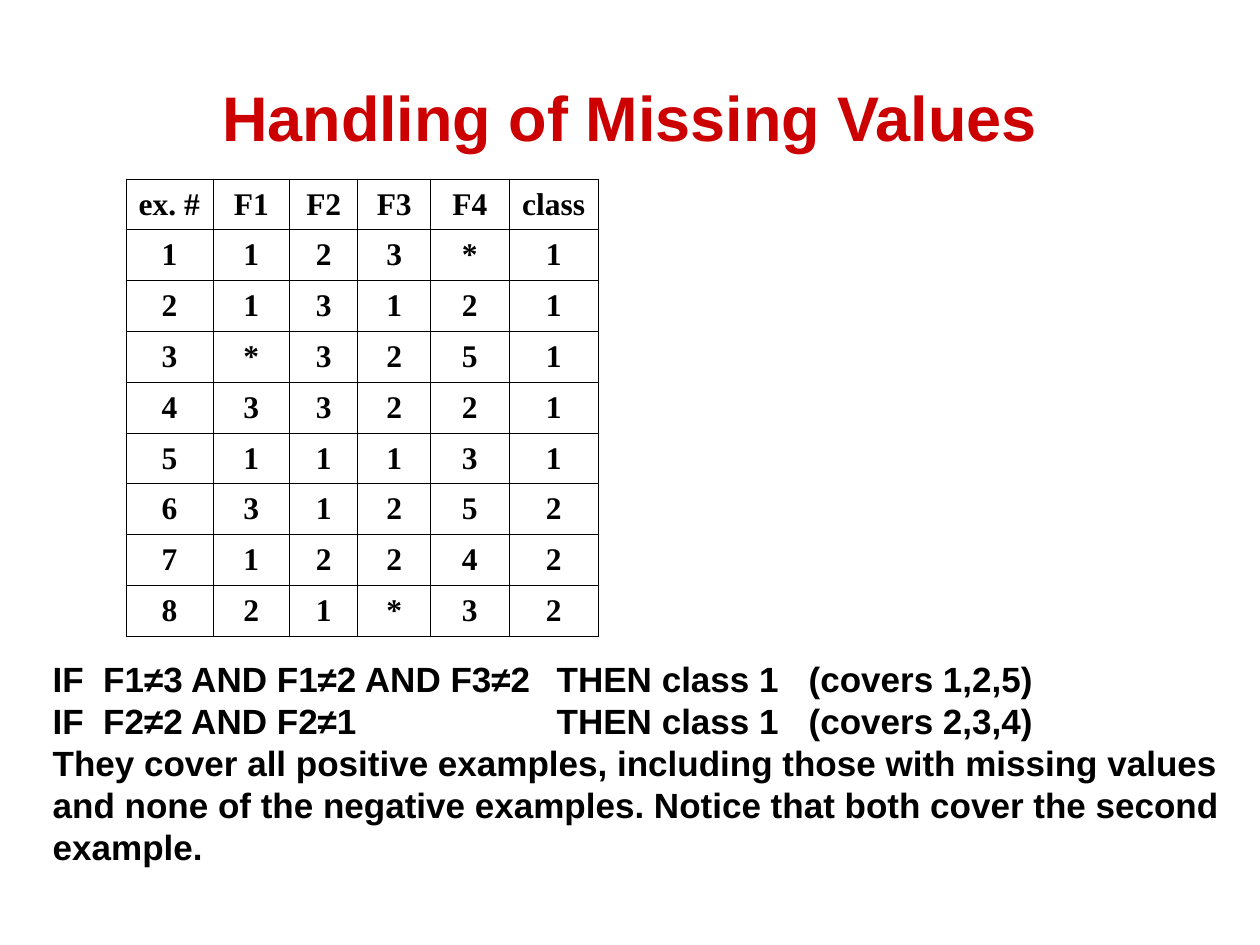
from lxml import etree
from pptx import Presentation
from pptx.dml.color import RGBColor as RGB
from pptx.enum.text import MSO_ANCHOR as Anchor, PP_ALIGN as Align
from pptx.oxml.ns import qn
from pptx.util import Inches, Pt

# Content
TITLE = "Handling of Missing Values"
HEAD = ["ex. #", "F1", "F2", "F3", "F4", "class"]
ROWS = ["1123*1", "213121", "3*3251", "433221",
        "511131", "631252", "712242", "821*32"]
NOTES = [
    "IF  F1≠3 AND F1≠2 AND F3≠2 \tTHEN class 1\t(covers 1,2,5)",
    "IF  F2≠2 AND F2≠1 \t\tTHEN class 1\t(covers 2,3,4)",
    "They cover all positive examples, including those with missing values",
    "and none of the negative examples. Notice that both cover the second",
    "example.",
]

# Theme: font, size, colour
THEME = {
    "title": ("Arial", 36, "CC0000"),
    "cell": ("Times New Roman", 18, "000000"),
    "note": ("Arial", 20, "000000"),
    "line": ("000000", 0.45),
}
WIDTHS = [0.69, 0.61, 0.54, 0.58, 0.62, 0.71]
HIGH = 3.63 / 9


def write(para, text, role, align=Align.LEFT):
    font, size, color = THEME[role]
    para.alignment = align
    run = para.add_run()
    run.text = text
    run.font.name, run.font.size, run.font.bold = font, Pt(size), True
    run.font.color.rgb = RGB.from_string(color)


def add_box(slide, left, top, width, height, wrap):
    box = slide.shapes.add_textbox(*map(Inches, (left, top, width, height)))
    box.text_frame.word_wrap = wrap
    return box.text_frame


def set_tabs(para, count):
    tabs = etree.SubElement(para._p.get_or_add_pPr(), qn("a:tabLst"))
    for inch in range(1, count + 1):
        etree.SubElement(tabs, qn("a:tab"), pos=str(Inches(inch)), algn="l")


def set_edges(cell):
    color, width = THEME["line"]
    props = cell._tc.get_or_add_tcPr()
    for at, side in enumerate(("a:lnL", "a:lnR", "a:lnT", "a:lnB")):
        line = etree.Element(qn(side), w=str(Pt(width)))
        fill = etree.SubElement(line, qn("a:solidFill"))
        etree.SubElement(fill, qn("a:srgbClr"), val=color)
        props.insert(at, line)


def add_grid(slide):
    data = [HEAD] + [list(row) for row in ROWS]
    frame = slide.shapes.add_table(
        len(data), len(HEAD), Inches(1), Inches(1.42),
        Inches(sum(WIDTHS)), Inches(HIGH * len(data)))
    table = frame.table
    table.first_row = table.horz_banding = False
    for col, width in zip(table.columns, WIDTHS):
        col.width = Inches(width)
    for r, row in enumerate(data):
        table.rows[r].height = Inches(HIGH)
        for c, text in enumerate(row):
            cell = table.cell(r, c)
            cell.fill.background()
            cell.vertical_anchor = Anchor.MIDDLE
            align = Align.LEFT if r == c == 0 else Align.CENTER
            write(cell.text_frame.paragraphs[0], text, "cell", align)
            set_edges(cell)


def main():
    deck = Presentation()
    deck.slide_width, deck.slide_height = Inches(10), Inches(7.5)
    slide = deck.slides.add_slide(deck.slide_layouts[6])

    # Title
    frame = add_box(slide, 0.5, 0.3, 9, 1.25, True)
    frame.vertical_anchor = Anchor.MIDDLE
    write(frame.paragraphs[0], TITLE, "title", Align.CENTER)

    # Examples
    add_grid(slide)

    # Rules and remark
    frame = add_box(slide, 0.32, 5.17, 9.54, 1.77, False)
    for i, text in enumerate(NOTES):
        para = frame.add_paragraph() if i else frame.paragraphs[0]
        para.line_spacing = Pt(24)
        set_tabs(para, 7)
        write(para, text, "note")

    deck.save("out.pptx")


if __name__ == "__main__":
    main()
